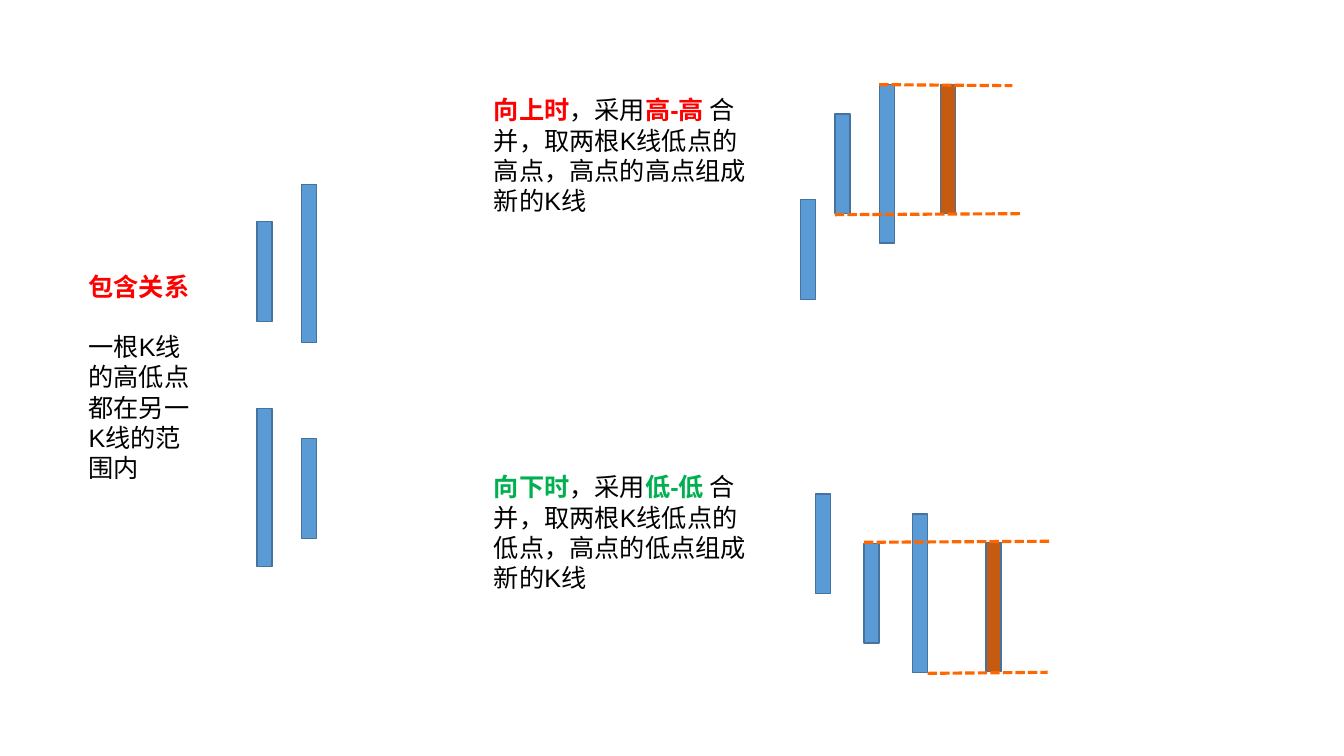
"""Build a slide explaining how containing K-lines are merged."""
from lxml import etree
from pptx import Presentation
from pptx.dml.color import RGBColor
from pptx.enum.dml import MSO_LINE
from pptx.enum.shapes import MSO_CONNECTOR, MSO_SHAPE
from pptx.enum.text import MSO_AUTO_SIZE
from pptx.oxml.ns import qn
from pptx.util import Inches, Pt

RED, GREEN, BLACK = "FF0000", "00B050", "000000"
BLUE, BROWN, OUTLINE, ORANGE = "5B9BD5", "C55A11", "43739E", "FF6600"
CANDLE_WIDTH = 0.15
SHORT, MERGED, LONG = 0.99, 1.28, 1.57


def color(value):
    return RGBColor.from_string(value)


prs = Presentation()
prs.slide_width, prs.slide_height = Inches(13.33), Inches(7.5)
slide = prs.slides.add_slide(prs.slide_layouts[6])

candles = [
    (2.55, 2.2, SHORT, BLUE),
    (2.99, 1.83, LONG, BLUE),
    (2.99, 4.35, SHORT, BLUE),
    (2.55, 4.05, LONG, BLUE),
    (8.28, 1.13, SHORT, BLUE),
    (8.72, 0.84, LONG, BLUE),
    (7.94, 1.98, SHORT, BLUE),
    (9.33, 0.84, MERGED, BROWN),
    (8.57, 5.39, SHORT, BLUE),
    (9.05, 5.1, LONG, BLUE),
    (8.09, 4.9, SHORT, BLUE),
    (9.78, 5.38, MERGED, BROWN),
]
for left, top, height, fill in candles:
    candle = slide.shapes.add_shape(
        MSO_SHAPE.RECTANGLE, Inches(left), Inches(top), Inches(CANDLE_WIDTH), Inches(height))
    candle.shadow.inherit = False
    candle.fill.solid()
    candle.fill.fore_color.rgb = color(fill)
    candle.line.color.rgb = color(OUTLINE)
    candle.line.width = Pt(1)

price_levels = [
    (8.72, 0.84, 10.04, 0.85),
    (8.28, 2.13, 10.12, 2.12),
    (8.57, 5.38, 10.41, 5.37),
    (9.2, 6.68, 10.39, 6.67),
]
for ends in price_levels:
    level = slide.shapes.add_connector(MSO_CONNECTOR.STRAIGHT, *map(Inches, ends))
    level.line.color.rgb = color(ORANGE)
    level.line.width = Pt(2.25)
    level.line.dash_style = MSO_LINE.SQUARE_DOT
    etree.SubElement(level._element.spPr, qn("a:effectLst"))

explanations = [
    ((0.78, 2.64, 1.36, 2.22), [
        [("包含关系", RED)],
        [("一根K线的高低点都在另一K线的范围内", BLACK)],
    ]),
    ((4.8, 0.89, 2.71, 1.31), [
        [("向上时", RED), ("，采用", BLACK), ("高-高 ", RED),
         ("合并，取两根K线低点的高点，高点的高点组成新的K线", BLACK)],
    ]),
    ((4.8, 4.63, 2.71, 1.31), [
        [("向下时", GREEN), ("，采用", BLACK), ("低-低 ", GREEN),
         ("合并，取两根K线低点的低点，高点的低点组成新的K线", BLACK)],
    ]),
]
for place, paragraphs in explanations:
    frame = slide.shapes.add_textbox(*map(Inches, place)).text_frame
    frame.word_wrap = True
    frame.auto_size = MSO_AUTO_SIZE.SHAPE_TO_FIT_TEXT
    for index, pieces in enumerate(paragraphs):
        paragraph = frame.add_paragraph() if index else frame.paragraphs[0]
        if index:
            paragraph.space_before = Pt(21.5)
        for words, tint in pieces:
            run = paragraph.add_run()
            run.text = words
            run.font.name = "Arial"
            run.font.size = Pt(18)
            run.font.bold = tint != BLACK
            run.font.color.rgb = color(tint)

prs.save("out.pptx")
